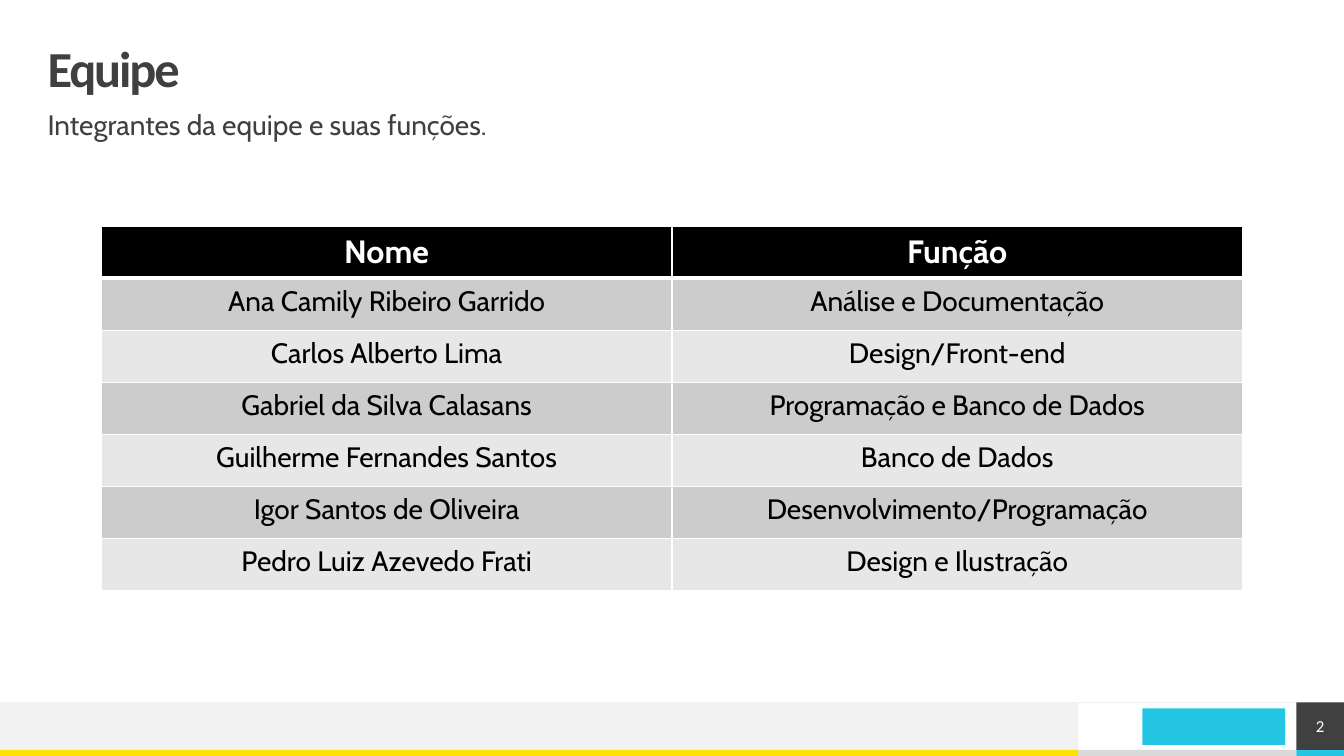
from lxml import etree
from pptx import Presentation
from pptx.dml.color import RGBColor
from pptx.enum.shapes import MSO_CONNECTOR, MSO_SHAPE
from pptx.enum.text import MSO_ANCHOR, PP_ALIGN
from pptx.oxml.ns import qn
from pptx.util import Pt

RECTANGLE = MSO_SHAPE.RECTANGLE
STRAIGHT = MSO_CONNECTOR.STRAIGHT
TOP, MIDDLE = MSO_ANCHOR.TOP, MSO_ANCHOR.MIDDLE
LEFT, CENTER = PP_ALIGN.LEFT, PP_ALIGN.CENTER

WIDTH, HEIGHT = 960, 540
DARK, PALE, CYAN, YELLOW = "404040", "F2F2F2", "25C6E3", "FFE203"
WHITE, BLACK = "FFFFFF", "000000"

FOOTER_TOP, FOOTER_HEIGHT = 501.8, 33.9
STRIP_TOP = FOOTER_TOP + FOOTER_HEIGHT
STRIP_HEIGHT = HEIGHT - STRIP_TOP
BRAND_LEFT, NUMBER_LEFT = 770.2, 926.1

TEAM = [
    ("Nome", "Função"),
    ("Ana Camily Ribeiro Garrido", "Análise e Documentação"),
    ("Carlos Alberto Lima", "Design/Front-end"),
    ("Gabriel da Silva Calasans", "Programação e Banco de Dados"),
    ("Guilherme Fernandes Santos", "Banco de Dados"),
    ("Igor Santos de Oliveira", "Desenvolvimento/Programação"),
    ("Pedro Luiz Azevedo Frati", "Design e Ilustração"),
]


def color(hex_value):
    return RGBColor.from_string(hex_value)


def write(paragraph, text, size, font="Calibri", fill=DARK, bold=False,
          align=LEFT, tracking=0):
    """Append a run to the paragraph; tracking is letter spacing in points."""
    paragraph.alignment = align
    run = paragraph.add_run()
    run.text = text
    run.font.size = Pt(size)
    run.font.name = font
    run.font.bold = bold
    run.font.color.rgb = color(fill)
    if tracking:
        run.font._element.set("spc", str(round(tracking * 100)))


def set_frame(frame, anchor=TOP):
    """Prepare a text frame without margins and return its first paragraph."""
    frame.word_wrap = True
    frame.vertical_anchor = anchor
    frame.margin_left = frame.margin_right = 0
    frame.margin_top = frame.margin_bottom = 0
    return frame.paragraphs[0]


def add_text_area(slide, left, top, width, height, anchor=TOP):
    area = slide.shapes.add_textbox(Pt(left), Pt(top), Pt(width), Pt(height))
    return set_frame(area.text_frame, anchor)


def add_block(slide, left, top, width, height, fill):
    block = slide.shapes.add_shape(
        RECTANGLE, Pt(left), Pt(top), Pt(width), Pt(height))
    block.shadow.inherit = False
    block.fill.solid()
    block.fill.fore_color.rgb = color(fill)
    block.line.fill.background()
    return block


def add_rule(slide, start_x, end_x, y, stroke, weight):
    rule = slide.shapes.add_connector(
        STRAIGHT, Pt(start_x), Pt(y), Pt(end_x), Pt(y))
    rule.line.color.rgb = color(stroke)
    rule.line.width = Pt(weight)
    etree.SubElement(rule._element.spPr, qn("a:effectLst"))


def set_borders(cell, **weights):
    """Draw white borders, with weights in points keyed by L, R, T and B."""
    properties = cell._tc.get_or_add_tcPr()
    for side in "LRTB":
        border = etree.SubElement(
            properties, qn(f"a:ln{side}"), w=str(Pt(weights.get(side, 1))))
        solid = etree.SubElement(border, qn("a:solidFill"))
        etree.SubElement(solid, qn("a:srgbClr"), val=WHITE)


def add_team_table(slide, left, top, width, row_height):
    rows, columns = len(TEAM), len(TEAM[0])
    table = slide.shapes.add_table(
        rows, columns, Pt(left), Pt(top), Pt(width), Pt(row_height * rows)).table
    for column in table.columns:
        column.width = Pt(width / columns)
    for index, member in enumerate(TEAM):
        table.rows[index].height = Pt(row_height)
        header = index == 0
        band = BLACK if header else "CCCCCC" if index % 2 else "E7E7E7"
        for cell, text in zip(table.rows[index].cells, member):
            set_borders(cell, T=3 if index == 1 else 1, B=3 if header else 1)
            cell.fill.solid()
            cell.fill.fore_color.rgb = color(band)
            cell.margin_left = cell.margin_right = Pt(9.4)
            cell.margin_top = cell.margin_bottom = Pt(4.3)
            write(cell.text_frame.paragraphs[0], text, 23 if header else 20,
                  font="Cabin", fill=WHITE if header else BLACK,
                  bold=header, align=CENTER)


def add_footer(slide):
    number_width = WIDTH - NUMBER_LEFT
    add_block(slide, BRAND_LEFT, STRIP_TOP, NUMBER_LEFT - BRAND_LEFT,
              STRIP_HEIGHT, "DADADA")
    add_block(slide, 0, FOOTER_TOP, BRAND_LEFT, FOOTER_HEIGHT, PALE)
    add_block(slide, 816, 506, 102, 26, CYAN)
    add_block(slide, 0, STRIP_TOP, BRAND_LEFT, STRIP_HEIGHT, YELLOW)
    add_block(slide, NUMBER_LEFT, STRIP_TOP, number_width, STRIP_HEIGHT, CYAN)
    add_rule(slide, WIDTH, 0, FOOTER_TOP, PALE, 0.5)

    number = add_block(slide, NUMBER_LEFT, FOOTER_TOP,
                       number_width, FOOTER_HEIGHT, DARK)
    write(set_frame(number.text_frame, MIDDLE), "2", 12,
          fill=WHITE, align=CENTER)


def add_heading(slide):
    title = add_text_area(slide, 34, 34, 892, 34, anchor=MIDDLE)
    title.line_spacing = 0.9
    write(title, "Equipe", 36, bold=True, tracking=-1.5)

    subtitle = add_text_area(slide, 34, 79.2, 892, 28)
    subtitle.line_spacing = 0.9
    subtitle.space_before = Pt(10)
    write(subtitle, "Integrantes da equipe e suas funções.", 20, font="Cabin")


def main():
    deck = Presentation()
    deck.slide_width, deck.slide_height = Pt(WIDTH), Pt(HEIGHT)
    slide = deck.slides.add_slide(deck.slide_layouts[6])
    add_footer(slide)
    add_heading(slide)
    add_team_table(slide, left=72.4, top=161.5, width=815.2, row_height=37.2)
    deck.save("out.pptx")


if __name__ == "__main__":
    main()
